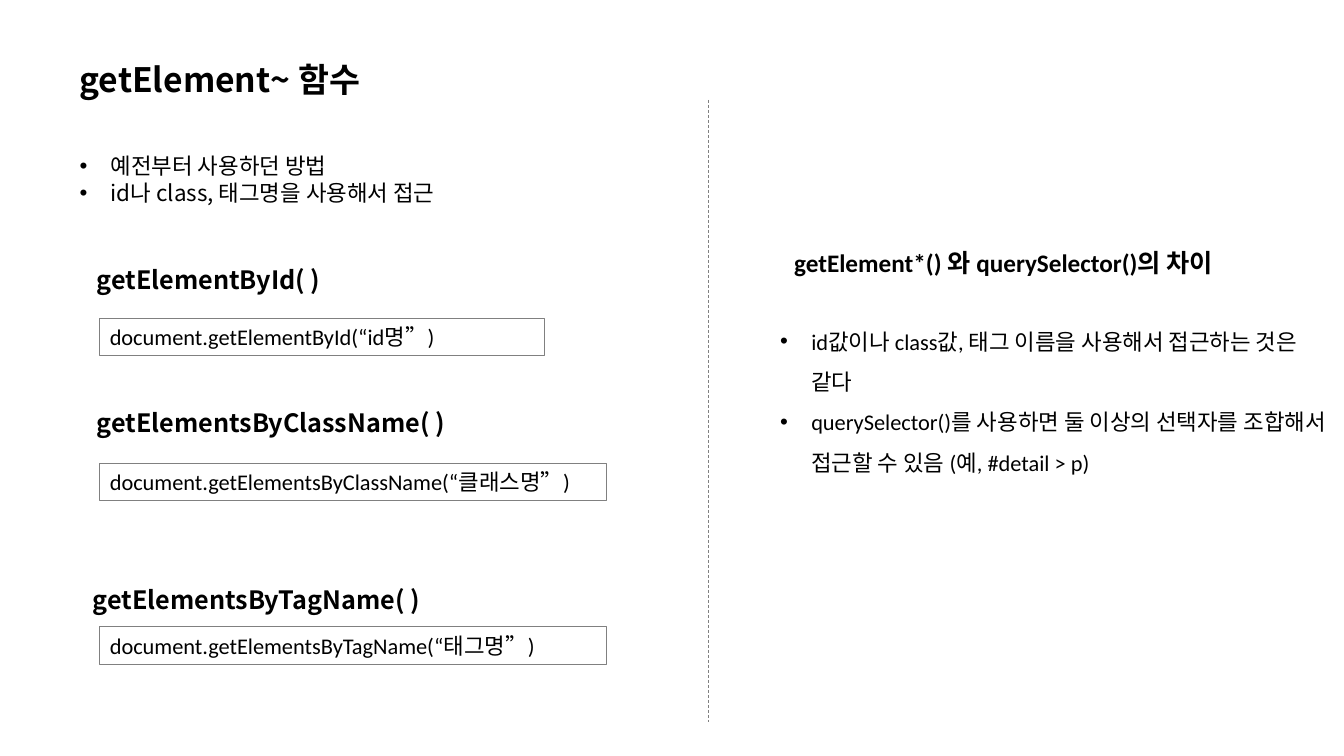
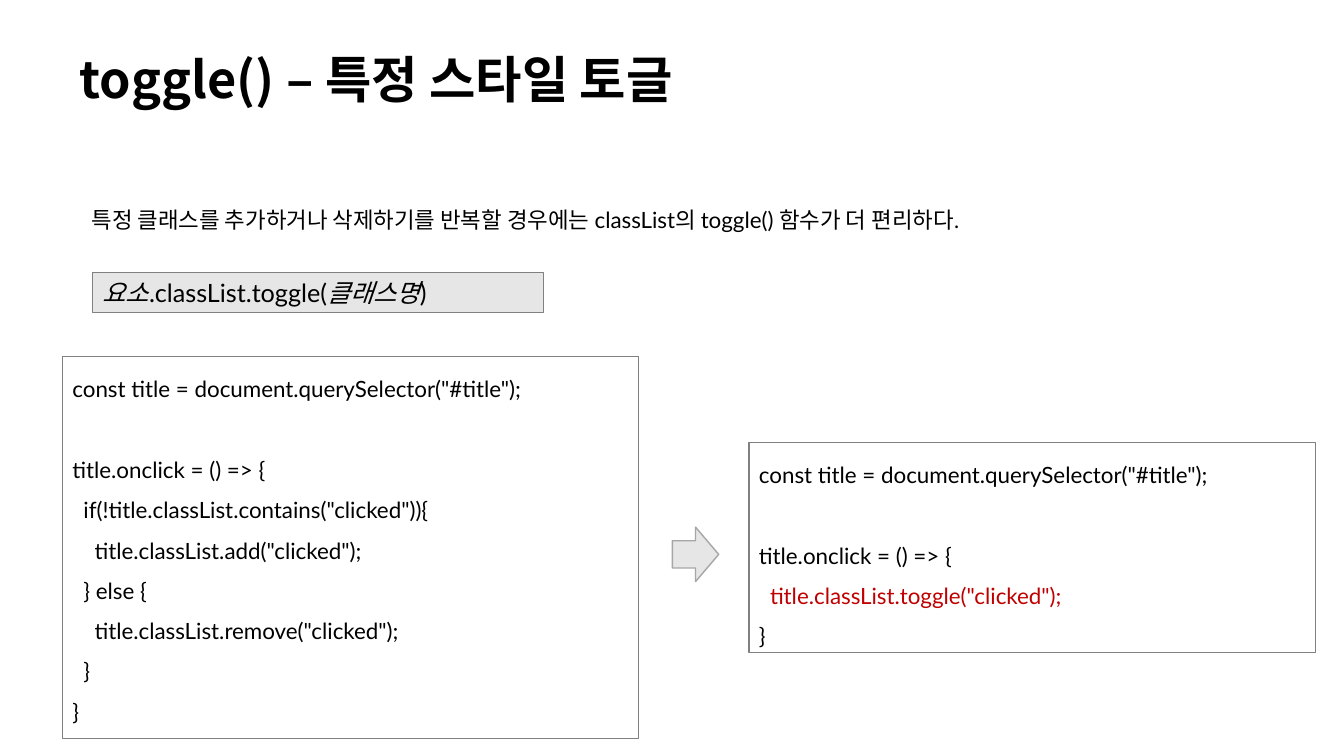
"""Build two slides on selecting elements and toggling classes in JavaScript."""
from lxml import etree
from pptx import Presentation
from pptx import util as u
from pptx.dml.color import RGBColor
from pptx.enum import dml, shapes, text
from pptx.oxml import ns

COLORS = {"ink": "000000", "rule": "808080", "panel": "E7E6E6",
          "edge": "A6A6A6", "accent": "C00000", "paper": "FFFFFF"}
KOREAN = "Noto Sans CJK KR"
INDENT = u.Inches(0.31)
CODE_STEP = u.Inches(0.11)

presentation = Presentation()
presentation.slide_width = u.Inches(13.33)
presentation.slide_height = u.Inches(7.5)
column = presentation.slide_width / 100
row = presentation.slide_height / 100


def area(left, top, width, height):
    """Turn hundredths of the slide into lengths."""
    return [round(n) for n in (left * column, top * row, width * column, height * row)]


def put_text(slide, place, paragraphs, size=16, font="Calibri", bold=False, spacing=1.0,
             bullet=False, middle=False, fill=None, line=None):
    """Place paragraphs, each a string or a dict of runs, indent level and gap above."""
    shape = slide.shapes.add_textbox(*area(*place))
    if fill:
        shape.fill.solid()
        shape.fill.fore_color.rgb = RGBColor.from_string(COLORS[fill])
    if line:
        shape.line.color.rgb = RGBColor.from_string(COLORS[line])
        shape.line.width = u.Pt(0.75)
    frame = shape.text_frame
    frame.word_wrap = True
    frame.vertical_anchor = text.MSO_ANCHOR.MIDDLE if middle else text.MSO_ANCHOR.TOP
    for index, content in enumerate(paragraphs):
        if isinstance(content, str):
            content = {"runs": [(content, {})]}
        paragraph = frame.paragraphs[0] if index == 0 else frame.add_paragraph()
        paragraph.line_spacing = spacing
        if "gap" in content:
            paragraph.space_before = u.Pt(content["gap"])
        properties = paragraph._p.get_or_add_pPr()
        if bullet:
            properties.set("marL", str(INDENT))
            properties.set("indent", str(-INDENT))
            etree.SubElement(properties, ns.qn("a:buFont"), typeface="Arial")
            etree.SubElement(properties, ns.qn("a:buChar"), char="•")
        elif "level" in content:
            properties.set("marL", str(content["level"] * CODE_STEP))
        for words, style in content["runs"]:
            run = paragraph.add_run()
            run.text = words
            run.font.size = u.Pt(size)
            run.font.bold = bold
            run.font.italic = style.get("italic", False)
            run.font.name = style.get("font", font)
            run.font.color.rgb = RGBColor.from_string(COLORS[style.get("color", "ink")])
            latin = run._r.rPr.find(ns.qn("a:latin"))
            east_asian = etree.Element(ns.qn("a:ea"), typeface=KOREAN)
            latin.addnext(east_asian)


slides = []
for title, size in [("getElement~ 함수", 24), ("toggle() – 특정 스타일 토글", 36)]:
    slide = presentation.slides.add_slide(presentation.slide_layouts[6])
    slide.background.fill.solid()
    slide.background.fill.fore_color.rgb = RGBColor.from_string(COLORS["paper"])
    put_text(slide, (5.18, 4.67, 73.05, 12.27), [title], size=size, font=KOREAN,
             bold=True, spacing=0.9, middle=True)
    slides.append(slide)
selectors, toggling = slides

put_text(selectors, (5.18, 19.47, 40.43, 8.53),
         ["예전부터 사용하던 방법", "id나 class, 태그명을 사용해서 접근"],
         font=KOREAN, bullet=True)

methods = [("getElementById", "id명", 6.45, 32.27, 42.13, 33.08),
           ("getElementsByClassName", "클래스명", 6.45, 51.2, 61.33, 37.73),
           ("getElementsByTagName", "태그명", 6.15, 74.67, 82.93, 37.73)]
for name, argument, left, heading_top, box_top, box_width in methods:
    put_text(selectors, (left, heading_top, 32.25, 6.67), [f"{name}( )"],
             size=18, font=KOREAN, bold=True, spacing=1.5)
    put_text(selectors, (7.43, box_top, box_width, 4.93),
             [f"document.{name}(“{argument}”)"], line="rule")

put_text(selectors, (58.35, 32, 37.73, 5.33),
         ["getElement*() 와 querySelector()의 차이"], size=18, bold=True)
put_text(selectors, (57.3, 40.93, 42.3, 27.73),
         ["id값이나 class값, 태그 이름을 사용해서 접근하는 것은 같다",
          "querySelector()를 사용하면 둘 이상의 선택자를 조합해서 접근할 수 있음 (예, #detail > p)"],
         spacing=1.5, bullet=True)

left, top, width, height = area(52.73, 13.2, 0, 82.27)
divider = selectors.shapes.add_connector(shapes.MSO_CONNECTOR.STRAIGHT,
                                         left, top, left, top + height)
divider.line.color.rgb = RGBColor.from_string(COLORS["rule"])
divider.line.width = u.Pt(0.5)
divider.line.dash_style = dml.MSO_LINE.DASH
etree.SubElement(divider._element.spPr, ns.qn("a:effectLst"))

lato = {"font": "Lato"}
put_text(toggling, (6.08, 26.67, 82.8, 4.93), [{"runs": [
    ("특정 클래스를 추가하거나 삭제하기를 반복할 경우에는 ", {}), ("classList", lato),
    ("의 ", {}), ("toggle() ", lato), ("함수가 더 편리하다.", {})]}])
put_text(toggling, (6.9, 36, 33.53, 5.33), [{"runs": [
    ("요소", {"italic": True}), (".classList.toggle(", {}),
    ("클래스명", {"italic": True}), (")", {})]}],
    size=18, font="Lato", fill="panel", line="rule")

opening = ['const title = document.querySelector("#title");',
           {"runs": [("title.onclick = () => {", {})], "gap": 29}]
branches = [(1, 'if(!title.classList.contains("clicked")){'),
            (2, 'title.classList.add("clicked");'),
            (1, "} else {"),
            (2, 'title.classList.remove("clicked");'),
            (1, "}")]
long_body = [{"runs": [(words, {})], "level": level} for level, words in branches]
short_body = [{"runs": [('title.classList.toggle("clicked");', {"color": "accent"})],
               "level": 1}]
for place, body in [((55.73, 58.53, 42.15, 27.73), short_body),
                    ((4.65, 47.2, 42.83, 50.53), long_body)]:
    put_text(toggling, place, opening + body + ["}"], font="Lato", spacing=1.5, line="rule")

arrow = toggling.shapes.add_shape(shapes.MSO_SHAPE.RIGHT_ARROW, *area(50.03, 69.73, 3.45, 7.2))
arrow.shadow.inherit = False
arrow.fill.solid()
arrow.fill.fore_color.rgb = RGBColor.from_string(COLORS["panel"])
arrow.line.color.rgb = RGBColor.from_string(COLORS["edge"])
arrow.line.width = u.Pt(1)

presentation.save("out.pptx")
